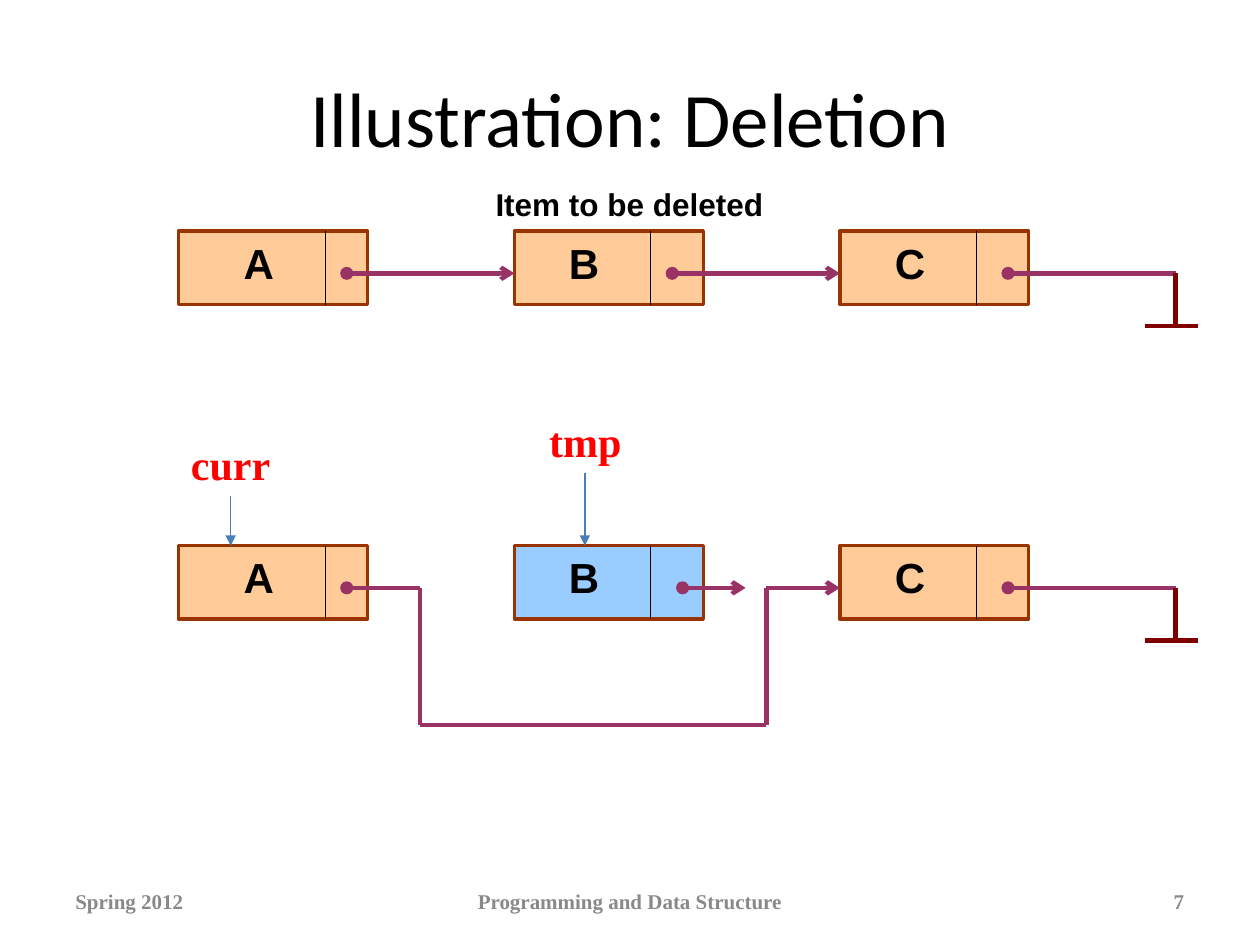
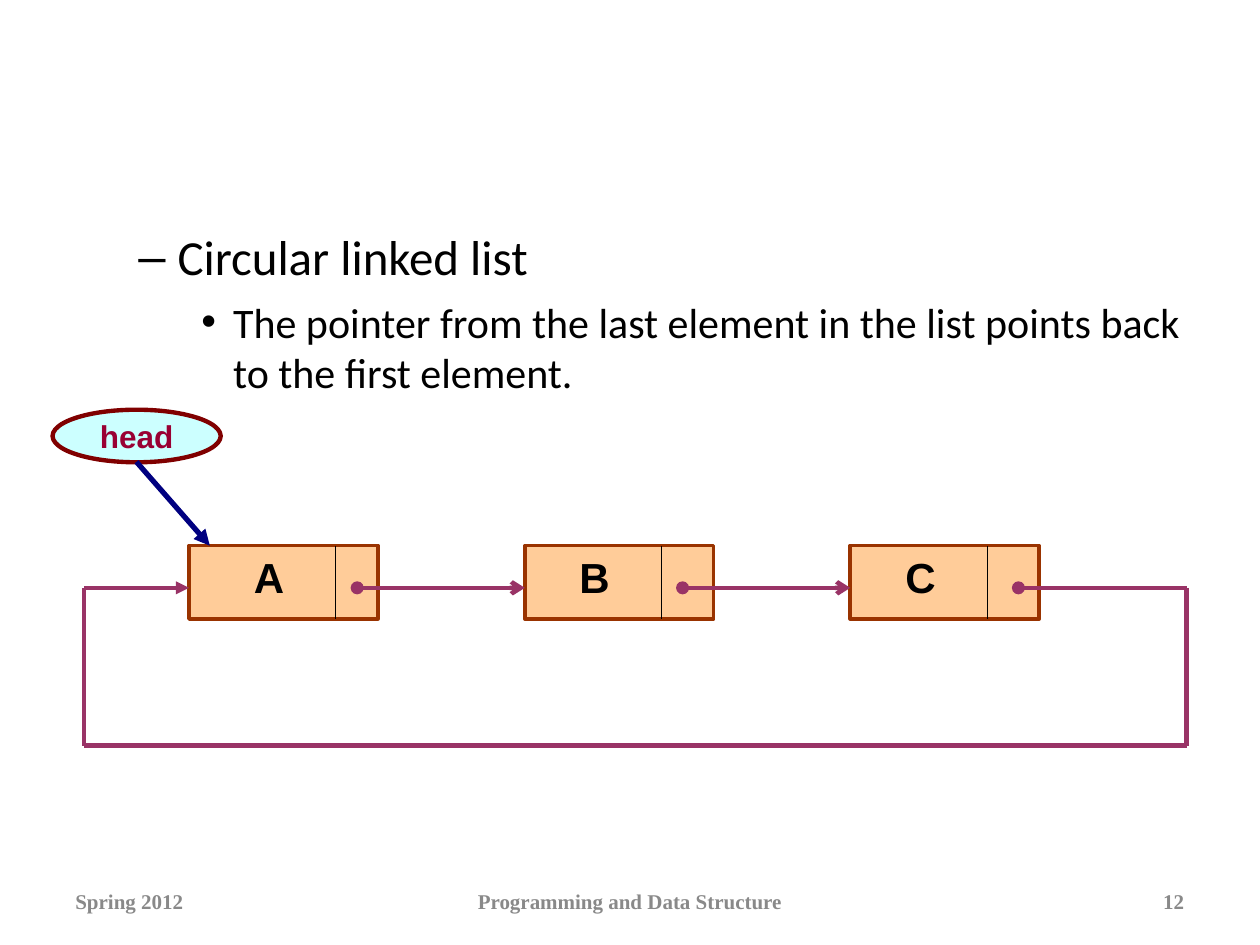
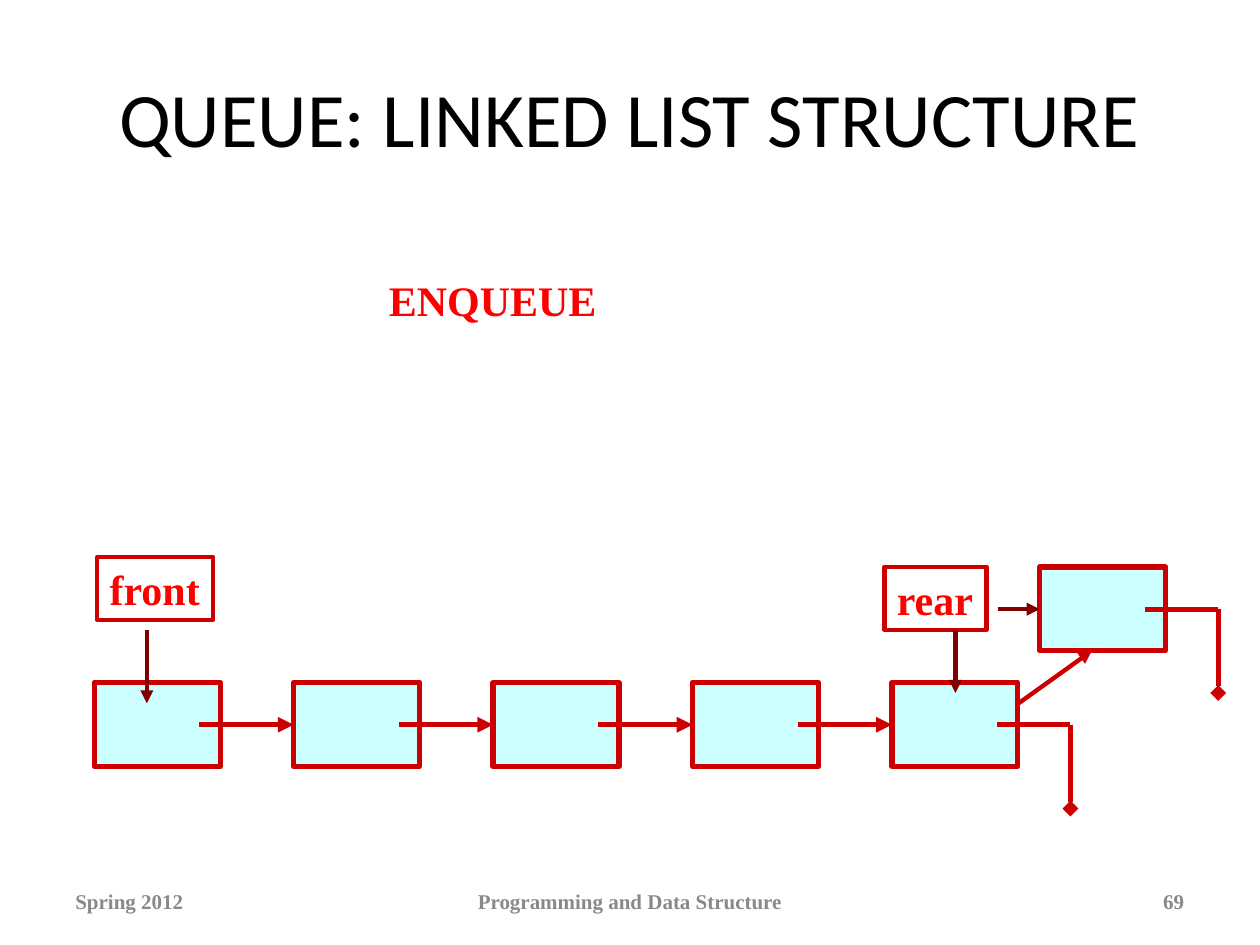
from dataclasses import dataclass, replace
from itertools import pairwise

from lxml import etree
from pptx import Presentation
from pptx.dml.color import RGBColor
from pptx.enum.shapes import MSO_CONNECTOR, MSO_SHAPE
from pptx.enum.text import MSO_ANCHOR, PP_ALIGN
from pptx.oxml.ns import qn
from pptx.shapes.autoshape import Shape
from pptx.slide import Slide
from pptx.text.text import _Paragraph as Paragraph
from pptx.util import Cm, Pt

STRAIGHT = MSO_CONNECTOR.STRAIGHT
RECTANGLE, OVAL = MSO_SHAPE.RECTANGLE, MSO_SHAPE.OVAL
LEFT, CENTER, RIGHT = PP_ALIGN.LEFT, PP_ALIGN.CENTER, PP_ALIGN.RIGHT
TOP, MIDDLE = MSO_ANCHOR.TOP, MSO_ANCHOR.MIDDLE

COLORS = {
    "black": "000000", "grey": "898989", "red": "FF0000", "crimson": "CC0000",
    "maroon": "800000", "wine": "990033", "plum": "993366", "brown": "993300",
    "peach": "FFCC99", "sky": "99CCFF", "ice": "CCFFFF", "navy": "000080",
    "blue": "4A7EBB",
}

Point = tuple[float, float]


@dataclass(frozen=True)
class Box:
    left: float
    top: float
    width: float
    height: float


@dataclass(frozen=True)
class TextStyle:
    font: str
    size: float
    color: str
    bold: bool = True
    align: PP_ALIGN = LEFT
    anchor: MSO_ANCHOR = TOP
    wrap: bool = True


@dataclass(frozen=True)
class Stroke:
    color: str
    width: float


@dataclass(frozen=True)
class Node:
    letter: str
    left: float
    divider: float
    dot: float
    fill: str = "peach"


@dataclass(frozen=True)
class Bullet:
    text: str
    level: int
    symbol: str
    margin: float
    indent: float
    size: float
    space_before: float


# Shared styles
TITLE = TextStyle("Calibri", 44, "black", False, CENTER, MIDDLE)
BODY = TextStyle("Calibri", 28, "black", False)
FOOTER = TextStyle("Times New Roman", 12, "grey", anchor=MIDDLE)
LETTER = TextStyle("Arial", 24, "black")
CAPTION = TextStyle("Arial", 18, "black")
HEAD = TextStyle("Arial", 18, "wine", align=CENTER, anchor=MIDDLE, wrap=False)
POINTER = TextStyle("Times New Roman", 24, "red", wrap=False)

NODE_BORDER = Stroke("brown", 2)
DIVIDER = Stroke("black", 0.75)
LINK = Stroke("plum", 2.5)
GROUND = Stroke("maroon", 2.5)
THIN_POINTER = Stroke("blue", 0.75)
HEAD_POINTER = Stroke("navy", 3)
QUEUE = Stroke("crimson", 3)
QUEUE_LABEL = Stroke("crimson", 2.5)

# Linked list geometry
NODE_WIDTH, NODE_HEIGHT, LINK_DROP = 3.81, 1.48, 0.85
LOWER_TOP = 11.0
LOWER_LINK = LOWER_TOP + LINK_DROP
GROUND_X = 23.7
NODES = [
    Node("A", 3.6, 6.56, 6.99),
    Node("B", 10.37, 13.12, 13.55),
    Node("C", 16.93, 19.69, 20.32),
]

# Queue geometry
CELL_WIDTH, CELL_HEIGHT, CELL_PITCH = 2.54, 1.69, 4.02
CELL_LINK = 2.12
QUEUE_LEFT, QUEUE_TOP, QUEUE_LENGTH = 1.9, 13.76, 5


def rgb(name: str) -> RGBColor:
    return RGBColor.from_string(COLORS[name])


def format_runs(paragraph: Paragraph, style: TextStyle) -> None:
    paragraph.alignment = style.align
    for run in paragraph.runs:
        run.font.name = style.font
        run.font.size = Pt(style.size)
        run.font.bold = style.bold
        run.font.color.rgb = rgb(style.color)


def set_text(shape: Shape, text: str, style: TextStyle) -> None:
    frame = shape.text_frame
    frame.text = text
    frame.word_wrap = style.wrap
    frame.vertical_anchor = style.anchor
    format_runs(frame.paragraphs[0], style)


def add_text(slide: Slide, box: Box, text: str, style: TextStyle) -> Shape:
    shape = slide.shapes.add_textbox(
        Cm(box.left), Cm(box.top), Cm(box.width), Cm(box.height))
    set_text(shape, text, style)
    return shape


def add_outline(slide: Slide, box: Box, stroke: Stroke,
                fill: str | None = None, kind: MSO_SHAPE = RECTANGLE) -> Shape:
    shape = slide.shapes.add_shape(
        kind, Cm(box.left), Cm(box.top), Cm(box.width), Cm(box.height))
    shape.shadow.inherit = False
    shape.line.color.rgb = rgb(stroke.color)
    shape.line.width = Pt(stroke.width)
    if fill:
        shape.fill.solid()
        shape.fill.fore_color.rgb = rgb(fill)
    else:
        shape.fill.background()
    return shape


def add_route(slide: Slide, points: list[Point], stroke: Stroke,
              head: str | None = None, tail: str | None = None) -> None:
    """Join the points with straight lines; head and tail mark the two ends."""
    segments = list(pairwise(points))
    for index, (start, end) in enumerate(segments):
        connector = slide.shapes.add_connector(
            STRAIGHT, Cm(start[0]), Cm(start[1]), Cm(end[0]), Cm(end[1]))
        connector.line.color.rgb = rgb(stroke.color)
        connector.line.width = Pt(stroke.width)
        properties = connector.element.spPr
        line = properties.find(qn("a:ln"))
        if head and index == 0:
            etree.SubElement(line, qn("a:headEnd"), type=head)
        if tail and index == len(segments) - 1:
            etree.SubElement(line, qn("a:tailEnd"), type=tail)
        etree.SubElement(properties, qn("a:effectLst"))


def add_slide(presentation: Presentation, number: int, title: str = "") -> Slide:
    slide = presentation.slides.add_slide(presentation.slide_layouts[6])
    if title:
        add_text(slide, Box(1.27, 0.76, 22.86, 3.18), title, TITLE)
    footers = [
        (1.27, 5.92, "Spring 2012", LEFT),
        (8.68, 8.04, "Programming and Data Structure", CENTER),
        (18.2, 5.92, str(number), RIGHT),
    ]
    for left, width, text, align in footers:
        add_text(slide, Box(left, 17.65, width, 1.02), text,
                 replace(FOOTER, align=align))
    return slide


def add_node(slide: Slide, node: Node, top: float) -> None:
    add_outline(slide, Box(node.left, top, NODE_WIDTH, NODE_HEIGHT),
                NODE_BORDER, node.fill)
    add_route(slide, [(node.divider, top), (node.divider, top + NODE_HEIGHT)], DIVIDER)
    add_text(slide, Box(node.divider - 1.9, top, 1.7, 1.27), node.letter, LETTER)


def add_links(slide: Slide, nodes: list[Node], top: float) -> None:
    y = top + LINK_DROP
    for node, following in pairwise(nodes):
        add_route(slide, [(node.dot, y), (following.left, y)], LINK, "oval", "arrow")


def add_ground(slide: Slide, node: Node, top: float) -> None:
    y = top + LINK_DROP
    add_route(slide, [(node.dot, y), (GROUND_X, y)], LINK, "oval")
    add_route(slide, [(GROUND_X, y), (GROUND_X, y + 1.06)], GROUND)
    add_route(slide, [(23.09, y + 1.06), (24.16, y + 1.06)], GROUND)


def add_cell(slide: Slide, left: float, top: float) -> None:
    add_outline(slide, Box(left, top, CELL_WIDTH, CELL_HEIGHT), QUEUE, "ice")


def add_null_link(slide: Slide, left: float, top: float) -> None:
    y = top + LINK_DROP
    corner = left + 3.6
    add_route(slide, [(left + CELL_LINK, y), (corner, y), (corner, y + 1.69)],
              QUEUE, tail="diamond")


def add_bullets(slide: Slide, box: Box, bullets: list[Bullet]) -> None:
    frame = add_text(slide, box, bullets[0].text, BODY).text_frame
    for index, bullet in enumerate(bullets):
        paragraph = frame.add_paragraph() if index else frame.paragraphs[0]
        paragraph.text = bullet.text
        paragraph.level = bullet.level
        paragraph.space_before = Pt(bullet.space_before)
        properties = paragraph._p.get_or_add_pPr()
        properties.set("marL", str(Cm(bullet.margin)))
        properties.set("indent", str(Cm(bullet.indent)))
        etree.SubElement(properties, qn("a:buFont"), typeface="Arial")
        etree.SubElement(properties, qn("a:buChar"), char=bullet.symbol)
        format_runs(paragraph, replace(BODY, size=bullet.size))


def build_deletion(presentation: Presentation) -> None:
    slide = add_slide(presentation, 7, "Illustration: Deletion")
    upper_top = 4.66

    # List before the deletion
    for node in NODES:
        add_node(slide, node, upper_top)
    add_links(slide, NODES, upper_top)
    add_ground(slide, NODES[-1], upper_top)
    add_text(slide, Box(9.74, 3.6, 6.99, 1.02), "Item to be deleted", CAPTION)

    # List after the deletion
    first, middle, last = NODES
    deleted = replace(middle, dot=13.76, fill="sky")
    for node in (first, deleted, last):
        add_node(slide, node, LOWER_TOP)
    add_route(slide, [(deleted.dot, LOWER_LINK), (15.03, LOWER_LINK)],
              LINK, "oval", "arrow")
    add_ground(slide, last, LOWER_TOP)

    # Bypass around the deleted node
    add_route(slide, [(first.dot, LOWER_LINK), (8.47, LOWER_LINK), (8.47, 14.61),
                      (15.45, 14.61), (15.45, LOWER_LINK), (last.left, LOWER_LINK)],
              LINK, "oval", "arrow")

    # Named pointers
    for text, box, x in (("curr", Box(3.6, 8.72, 2.11, 1.27), 4.65),
                         ("tmp", Box(10.82, 8.26, 1.96, 1.27), 11.79)):
        add_text(slide, box, text, POINTER)
        add_route(slide, [(x, box.top + box.height), (x, LOWER_TOP)],
                  THIN_POINTER, tail="triangle")


def build_circular_list(presentation: Presentation) -> None:
    slide = add_slide(presentation, 12)
    add_bullets(slide, Box(1.27, 4.45, 22.86, 12.57), [
        Bullet("Circular linked list", 1, "–", 2.06, -0.79, 28, 0),
        Bullet("The pointer from the last element in the list points back "
               "to the first element.", 2, "•", 3.18, -0.64, 24, 6),
    ])

    # Nodes, slightly to the right of the deletion list
    shift = 0.21
    nodes = [replace(node, left=node.left + shift, divider=node.divider + shift,
                     dot=node.dot + shift) for node in NODES]
    for node in nodes:
        add_node(slide, node, LOWER_TOP)
    add_links(slide, nodes, LOWER_TOP)

    # Link from the last node back to the first
    right, left, bottom = 23.92, 1.69, 15.03
    add_route(slide, [(nodes[-1].dot, LOWER_LINK), (right, LOWER_LINK),
                      (right, bottom), (left, bottom), (left, LOWER_LINK),
                      (nodes[0].left, LOWER_LINK)], LINK, "oval", "triangle")

    # Head pointer
    head = add_outline(slide, Box(1.06, 8.26, 3.39, 1.06), GROUND, "ice", OVAL)
    set_text(head, "head", HEAD)
    add_route(slide, [(2.75, 9.31), (4.23, LOWER_TOP)], HEAD_POINTER, tail="triangle")


def build_queue(presentation: Presentation) -> None:
    slide = add_slide(presentation, 69, "QUEUE: LINKED LIST STRUCTURE")
    add_text(slide, Box(7.59, 5.41, 4.7, 1.27), "ENQUEUE", POINTER)

    # Queue cells and their links
    lefts = [QUEUE_LEFT + index * CELL_PITCH for index in range(QUEUE_LENGTH)]
    for left in lefts:
        add_cell(slide, left, QUEUE_TOP)
    link_y = QUEUE_TOP + LINK_DROP
    for left, following in pairwise(lefts):
        add_route(slide, [(left + CELL_LINK, link_y), (following, link_y)],
                  QUEUE, tail="triangle")
    add_null_link(slide, lefts[-1], QUEUE_TOP)

    # New cell joining at the rear
    new_left, new_top = 20.96, 11.43
    add_cell(slide, new_left, new_top)
    add_null_link(slide, new_left, new_top)
    add_route(slide, [(20.53, 14.18), (22.01, 13.12)], QUEUE_LABEL, tail="triangle")

    # Front and rear pointers
    for text, box in (("front", Box(1.96, 11.23, 2.34, 1.27)),
                      ("rear", Box(17.83, 11.43, 2.06, 1.27))):
        set_text(add_outline(slide, box, QUEUE_LABEL), text, POINTER)
    for points in ([(2.96, 12.7), (2.96, 14.18)],
                   [(19.26, 12.7), (19.26, 13.97)],
                   [(20.11, 12.28), (new_left, 12.28)]):
        add_route(slide, points, GROUND, tail="triangle")


def main() -> None:
    presentation = Presentation()
    presentation.slide_width = Cm(25.4)
    presentation.slide_height = Cm(19.05)
    build_deletion(presentation)
    build_circular_list(presentation)
    build_queue(presentation)
    presentation.save("out.pptx")


if __name__ == "__main__":
    main()
